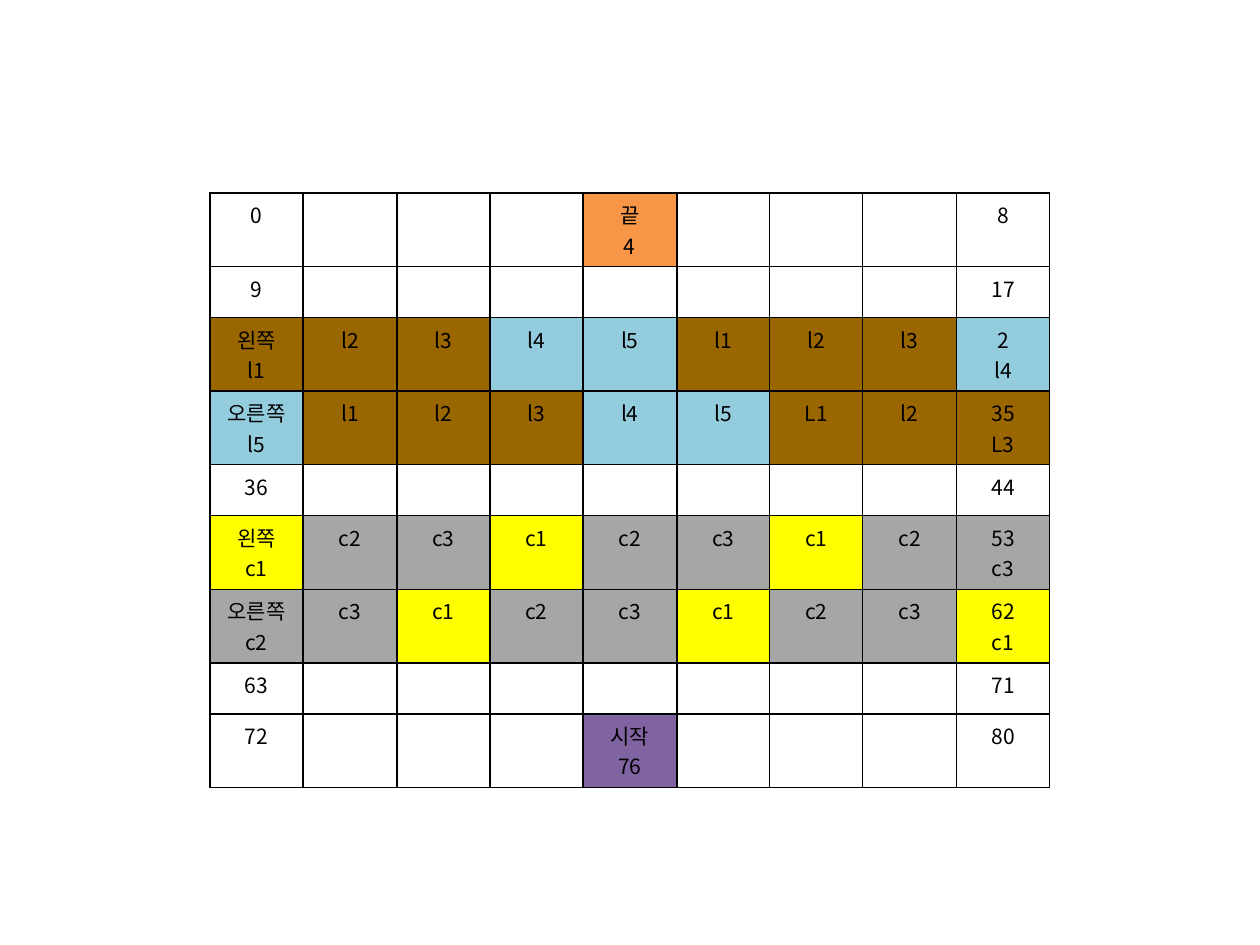
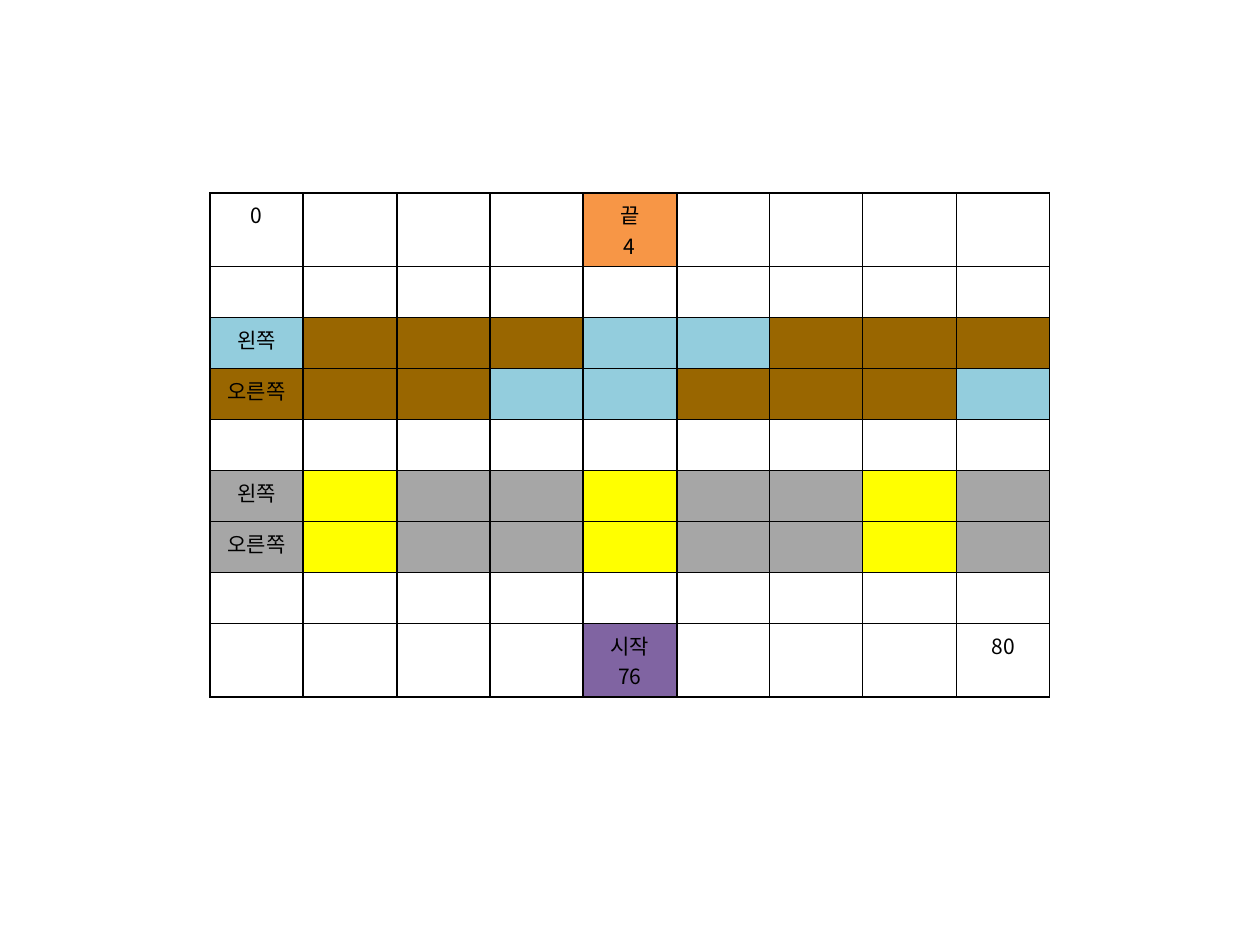
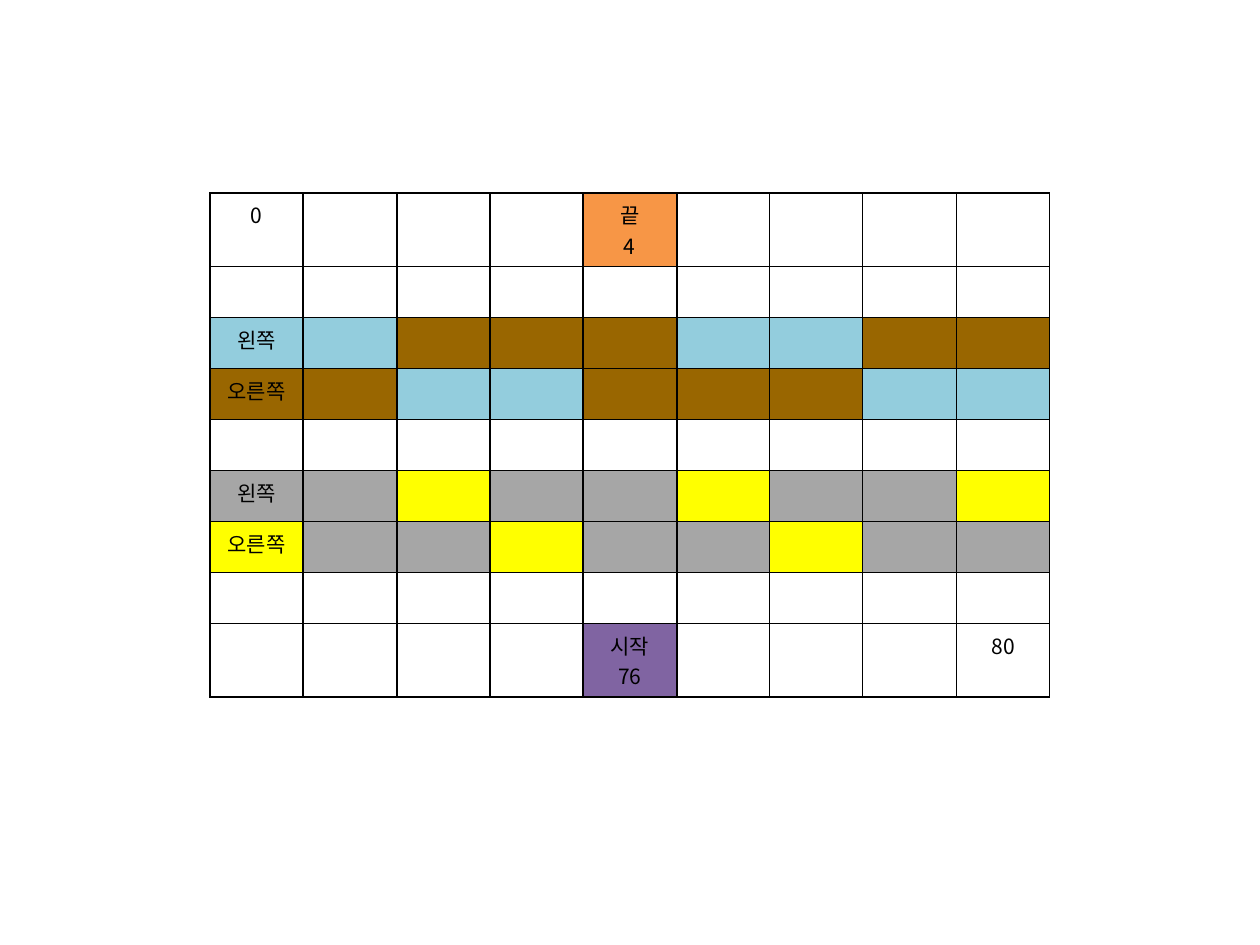
import pptx
import pptx.util
import pptx.dml.color
import pptx.enum.text
import lxml.etree
import pptx.oxml.ns

PX = 914400 // 126
FONT = "Noto Sans CJK KR"
TEXT_SIZE = pptx.util.Pt(12)
COUNT = 9
ROW_HEIGHT = 51
COLORS = {
    "ink": "000000",
    "finish": "F79646",
    "start": "8064A2",
    "log": "996600",
    "water": "93CDDD",
    "car": "FFFF00",
    "road": "A6A6A6",
}
RIVER = ["log", "log", "log", "water", "water"]
ROAD = ["car", "road", "road"]
LANES = {2: ("l", RIVER), 3: ("l", RIVER), 5: ("c", ROAD), 6: ("c", ROAD)}
MARKS = {
    (0, 0): ["0"], (0, 4): ["끝", "4"], (8, 4): ["시작", "76"], (8, 8): ["80"],
    (2, 0): ["왼쪽"], (3, 0): ["오른쪽"], (5, 0): ["왼쪽"], (6, 0): ["오른쪽"],
}
EDGE_NUMBERS = {
    (0, 8): ["8"], (1, 0): ["9"], (1, 8): ["17"], (2, 8): ["2"], (3, 8): ["35"],
    (4, 0): ["36"], (4, 8): ["44"], (5, 8): ["53"], (6, 8): ["62"],
    (7, 0): ["63"], (7, 8): ["71"], (8, 0): ["72"],
}
CAPITALS = {(3, 6), (3, 8)}
BOARDS = [
    {"phases": {2: 0, 3: 4, 5: 0, 6: 1}, "numbered": True, "box": (210, 193, 840, 532)},
    {"phases": {2: 4, 3: 0, 5: 2, 6: 2}, "numbered": False, "box": (210, 193, 840, 484)},
    {"phases": {2: 3, 3: 1, 5: 1, 6: 0}, "numbered": False, "box": (210, 193, 840, 484)},
]


def rgb(name):
    return pptx.dml.color.RGBColor.from_string(COLORS[name])


def add_element(parent, tag, **attributes):
    return lxml.etree.SubElement(parent, pptx.oxml.ns.qn(tag), **attributes)


def draw_borders(cell):
    properties = cell._tc.get_or_add_tcPr()
    for side in ("L", "R", "T", "B"):
        line = add_element(properties, "a:ln" + side, w=str(pptx.util.Pt(1)))
        fill = add_element(line, "a:solidFill")
        add_element(fill, "a:srgbClr", val=COLORS["ink"])


def write_lines(cell, lines):
    frame = cell.text_frame
    for index, line in enumerate(lines):
        para = frame.add_paragraph() if index else frame.paragraphs[0]
        para.alignment = pptx.enum.text.PP_ALIGN.CENTER
        span = para.add_run()
        span.text = line
        span.font.size = TEXT_SIZE
        span.font.name = FONT
        span.font.color.rgb = rgb("ink")
        add_element(span.font._element, "a:ea", typeface=FONT)
    if not lines:
        ending = add_element(frame.paragraphs[0]._p, "a:endParaRPr", sz="1200")
        for tag in ("a:latin", "a:ea"):
            add_element(ending, tag, typeface=FONT)


def cell_content(place, phases, numbered):
    row, column = place
    lines = list(MARKS.get(place, []))
    if numbered:
        lines += EDGE_NUMBERS.get(place, [])
    color = {(0, 4): "finish", (8, 4): "start"}.get(place)
    if row in LANES:
        letter, cycle = LANES[row]
        step = (phases[row] + column) % len(cycle)
        color = cycle[step]
        if numbered:
            label = f"{letter}{step + 1}"
            lines.append(label.upper() if place in CAPITALS else label)
    return lines, color


def add_board(page, box, phases, numbered):
    left, top, width, height = box
    frame = page.shapes.add_table(
        COUNT, COUNT, left * PX, top * PX, width * PX, height * PX)
    table = frame.table
    table.first_row = False
    table.horz_banding = False
    edges = [round(width * index / COUNT) for index in range(COUNT + 1)]
    for index in range(COUNT):
        table.columns[index].width = (edges[index + 1] - edges[index]) * PX
        table.rows[index].height = ROW_HEIGHT * PX
    frame.height = height * PX
    for row in range(COUNT):
        for column in range(COUNT):
            cell = table.cell(row, column)
            lines, color = cell_content((row, column), phases, numbered)
            draw_borders(cell)
            if color:
                cell.fill.solid()
                cell.fill.fore_color.rgb = rgb(color)
            else:
                cell.fill.background()
            write_lines(cell, lines)


def main():
    deck = pptx.Presentation()
    deck.slide_width = 1260 * PX
    deck.slide_height = 945 * PX
    for board in BOARDS:
        page = deck.slides.add_slide(deck.slide_layouts[6])
        add_board(page, **board)
    deck.save("out.pptx")


if __name__ == "__main__":
    main()
